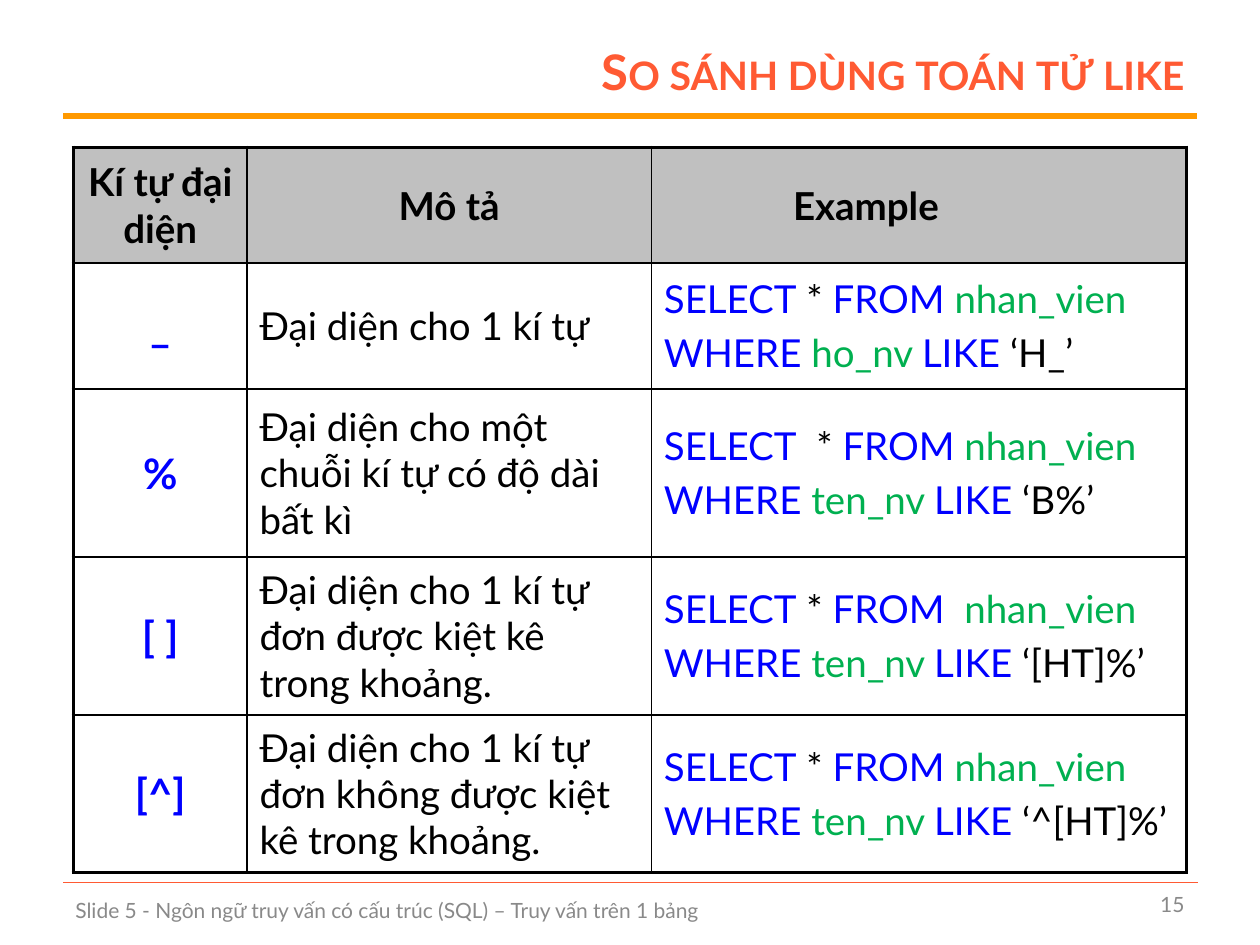
"""Build a slide explaining the wildcards of the SQL LIKE operator."""
from dataclasses import dataclass

from lxml import etree
from pptx import Presentation
from pptx.dml.color import RGBColor
from pptx.enum.dml import MSO_LINE
from pptx.enum.shapes import MSO_CONNECTOR
from pptx.enum.text import MSO_ANCHOR, PP_ALIGN
from pptx.oxml.ns import qn
from pptx.util import Cm, Pt

STRAIGHT = MSO_CONNECTOR.STRAIGHT
DOTTED = MSO_LINE.ROUND_DOT
MIDDLE = MSO_ANCHOR.MIDDLE
LEFT, CENTER, RIGHT = PP_ALIGN.LEFT, PP_ALIGN.CENTER, PP_ALIGN.RIGHT


@dataclass(frozen=True)
class Theme:
    font: str = "Lato"
    accent: str = "FF5A33"
    rule: str = "FF9900"
    muted: str = "898989"
    ink: str = "000000"
    keyword: str = "0000FF"
    identifier: str = "00B050"
    header_fill: str = "C0C0C0"
    title_size: float = 28
    wildcard_size: float = 24
    body_size: float = 22
    footer_size: float = 12
    line_gap: float = 4.4
    outer_border: float = 2.25
    inner_border: float = 1


THEME = Theme()

TITLE = "So sánh dùng toán tử like"
FOOTER = "Slide 5 - Ngôn ngữ truy vấn có cấu trúc (SQL) – Truy vấn trên 1 bảng"
PAGE_NUMBER = "15"
HEADINGS = ("Kí tự đại diện", "Mô tả", "Example")
WILDCARDS = [
    ("_", "Đại diện cho 1 kí tự", (" * ", "FROM ", "ho_nv ", "‘H_’")),
    ("%", "Đại diện cho một chuỗi kí tự có độ dài bất kì",
     ("  * ", "FROM ", "ten_nv ", "‘B%’")),
    ("[ ]", "Đại diện cho 1 kí tự đơn được kiệt kê trong khoảng.",
     (" * ", "FROM  ", "ten_nv ", "‘[HT]%’")),
    ("[^]", "Đại diện cho 1 kí tự đơn không được kiệt kê trong khoảng.",
     (" * ", "FROM ", "ten_nv ", "‘^[HT]%’")),
]
COLUMN_WIDTHS = (3.5, 8.15, 10.79)
ROW_HEIGHTS = (2.33, 2.54, 3.39, 3.18, 3.18)
PAGE_LEFT, PAGE_RIGHT = 1.27, 24.13


def style(run, size, color, bold=False):
    run.font.name = THEME.font
    run.font.size = Pt(size)
    run.font.bold = bold
    run.font.color.rgb = RGBColor.from_string(color)


def write(frame, text, size, color, align=LEFT, bold=False):
    frame.text = text
    line = frame.paragraphs[0]
    line.alignment = align
    style(line.runs[0], size, color, bold)
    return line.runs[0]


def add_label(slide, box, *text_style):
    frame = slide.shapes.add_textbox(*map(Cm, box)).text_frame
    frame.word_wrap = True
    frame.vertical_anchor = MIDDLE
    return write(frame, *text_style)


def add_rule(slide, y, color, width):
    rule = slide.shapes.add_connector(
        STRAIGHT, Cm(PAGE_LEFT), Cm(y), Cm(PAGE_RIGHT), Cm(y))
    rule.line.color.rgb = RGBColor.from_string(color)
    rule.line.width = Pt(width)
    etree.SubElement(rule._element.spPr, qn("a:effectLst"))
    return rule


def write_query(frame, star, source, column, pattern):
    keyword, identifier, ink = THEME.keyword, THEME.identifier, THEME.ink
    query = [
        [("SELECT", keyword), (star, ink), (source, keyword),
         ("nhan_vien", identifier)],
        [("WHERE ", keyword), (column, identifier), ("LIKE ", keyword),
         (pattern, ink)],
    ]
    for index, tokens in enumerate(query):
        line = frame.add_paragraph() if index else frame.paragraphs[0]
        if index:
            line.space_before = Pt(THEME.line_gap)
        for token, color in tokens:
            run = line.add_run()
            run.text = token
            style(run, THEME.body_size, color)


def set_borders(cell, row, column):
    outer_sides = {
        "L": column == 0,
        "R": column == len(COLUMN_WIDTHS) - 1,
        "T": row == 0,
        "B": row == len(ROW_HEIGHTS) - 1,
    }
    properties = cell._tc.get_or_add_tcPr()
    for side, is_outer in outer_sides.items():
        width = THEME.outer_border if is_outer else THEME.inner_border
        border = etree.SubElement(properties, qn(f"a:ln{side}"), w=str(Pt(width)))
        fill = etree.SubElement(border, qn("a:solidFill"))
        etree.SubElement(fill, qn("a:srgbClr"), val=THEME.ink)


def add_wildcard_table(slide):
    table = slide.shapes.add_table(
        len(ROW_HEIGHTS), len(COLUMN_WIDTHS), Cm(1.48), Cm(2.97),
        Cm(sum(COLUMN_WIDTHS)), Cm(sum(ROW_HEIGHTS))).table
    table.first_row = table.horz_banding = False
    for column, width in zip(table.columns, COLUMN_WIDTHS):
        column.width = Cm(width)
    for row, height in zip(table.rows, ROW_HEIGHTS):
        row.height = Cm(height)

    for row_index, row in enumerate(table.rows):
        for column_index, cell in enumerate(row.cells):
            cell.vertical_anchor = MIDDLE
            set_borders(cell, row_index, column_index)
            if row_index:
                cell.fill.background()
            else:
                cell.fill.solid()
                cell.fill.fore_color.rgb = RGBColor.from_string(THEME.header_fill)

    for column, heading in enumerate(HEADINGS):
        write(table.cell(0, column).text_frame, heading,
              THEME.body_size, THEME.ink, CENTER, True)
    table.cell(0, 2).margin_right = Cm(2.39)

    for row, (wildcard, meaning, query) in enumerate(WILDCARDS, 1):
        write(table.cell(row, 0).text_frame, wildcard,
              THEME.wildcard_size, THEME.keyword, CENTER, True)
        write(table.cell(row, 1).text_frame, meaning, THEME.body_size, THEME.ink)
        write_query(table.cell(row, 2).text_frame, *query)


def main():
    deck = Presentation()
    deck.slide_width, deck.slide_height = Cm(25.4), Cm(19.05)
    slide = deck.slides.add_slide(deck.slide_layouts[6])

    add_label(slide, (PAGE_LEFT, 17.83, 13.34, 1.02), FOOTER,
              THEME.footer_size, THEME.muted)
    add_rule(slide, 17.78, THEME.accent, 0.25).line.dash_style = DOTTED
    add_rule(slide, 2.34, THEME.rule, 3)
    title = add_label(slide, (5.72, 0.76, 18.41, 1.35), TITLE,
                      THEME.title_size, THEME.accent, RIGHT, True)
    title.font._element.set("cap", "small")
    add_wildcard_table(slide)
    add_label(slide, (18.21, 17.78, 5.92, 0.89), PAGE_NUMBER,
              THEME.footer_size, THEME.muted, RIGHT)
    deck.save("out.pptx")


if __name__ == "__main__":
    main()
